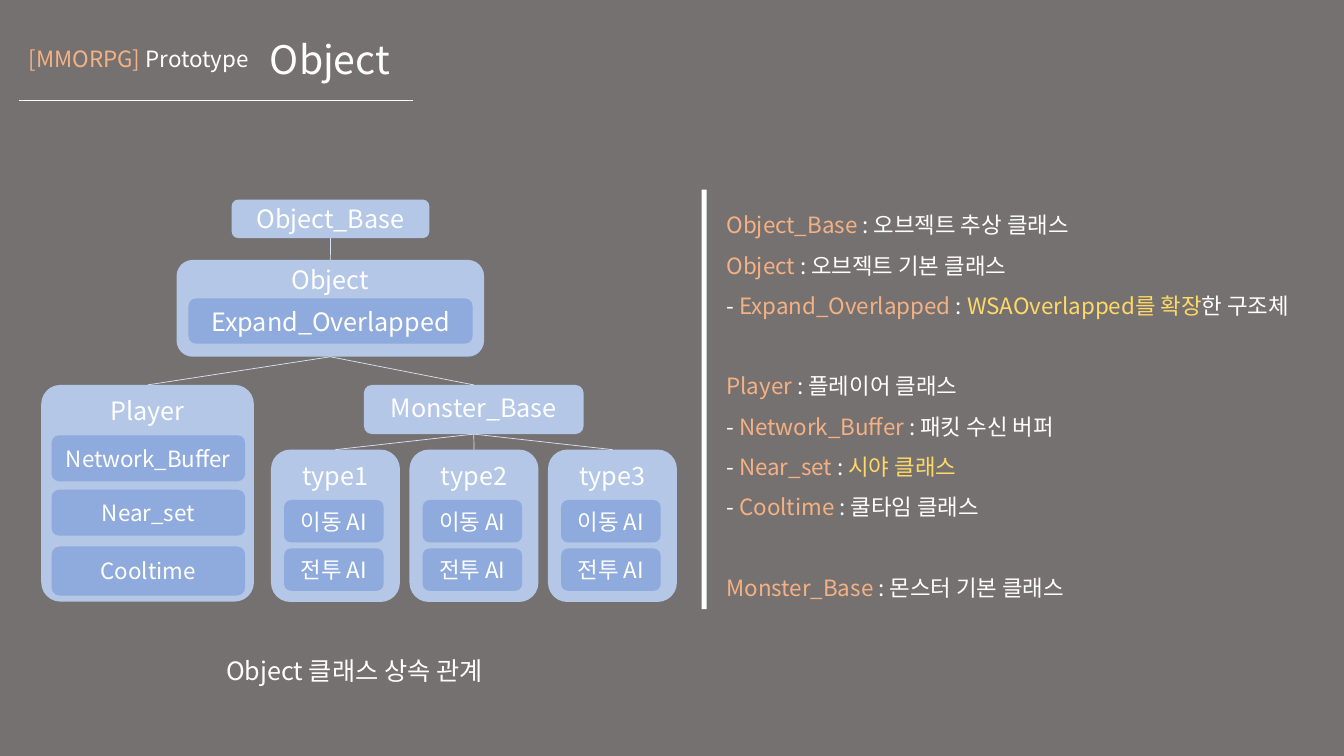
import pptx
import pptx.util
import pptx.dml.color
import pptx.enum.shapes
import pptx.enum.text
import pptx.oxml.ns
from lxml import etree

Cm, Pt = pptx.util.Cm, pptx.util.Pt
ANCHOR, ALIGN = pptx.enum.text.MSO_ANCHOR, pptx.enum.text.PP_ALIGN
FONT = "Noto Sans CJK KR"
COLORS = {
    "background": "767171", "white": "FFFFFF", "orange": "F4B183", "yellow": "FFD966",
    "class": "B4C7E7", "member": "8FAADC", "link": "DAE3F3",
}

TITLE = "Object"
LABEL = [("[MMORPG] ", "orange"), ("Prototype", "white")]
CAPTION = "Object 클래스 상속 관계"

# name: (left, top, width, height), corner ratio, anchor
CLASSES = {
    "Object_Base": ((5.84, 5.03, 4.98, 0.97), 0.167, ANCHOR.MIDDLE),
    "Object": ((4.45, 6.55, 7.75, 2.44), 0.167, ANCHOR.TOP),
    "Player": ((1.04, 9.7, 5.36, 5.46), 0.09, ANCHOR.TOP),
    "Monster_Base": ((9.17, 9.7, 5.54, 1.24), 0.167, ANCHOR.TOP),
}
TYPES = ["type1", "type2", "type3"]
TYPE_BOX, TYPE_STEP = (6.83, 11.33, 3.25, 3.84), 3.49
AI_BOX, AI_STEP = (7.16, 12.6, 2.51, 1.07), 1.22
AIS = ["이동 AI", "전투 AI"]

MEMBERS = [
    ("Expand_Overlapped", (4.75, 7.52, 7.16, 1.14), 18),
    ("Network_Buffer", (1.3, 10.97, 4.88, 1.16), 16),
    ("Near_set", (1.3, 12.34, 4.88, 1.16), 16),
    ("Cooltime", (1.3, 13.77, 4.88, 1.24), 16),
]
LINKS = [("Object_Base", "Object"), ("Object", "Player"), ("Object", "Monster_Base")]
LINKS += [("Monster_Base", name) for name in TYPES]

# Each group is set apart by one line
NOTES = [
    [
        [("Object_Base ", "orange"), (": 오브젝트 추상 클래스", "white")],
        [("Object ", "orange"), (": 오브젝트 기본 클래스", "white")],
        [("-", "white"), (" Expand_Overlapped ", "orange"), (": ", "white"),
         ("WSAOverlapped를 확장", "yellow"), ("한 구조체", "white")],
    ],
    [
        [("Player ", "orange"), (": 플레이어 클래스", "white")],
        [("- ", "white"), ("Network_Buffer", "orange"), (" : 패킷 수신 버퍼", "white")],
        [("- ", "white"), ("Near_set ", "orange"), (": ", "white"), ("시야 클래스", "yellow")],
        [("-", "white"), (" Cooltime ", "orange"), (": 쿨타임 클래스", "white")],
    ],
    [[("Monster_Base ", "orange"), (": 몬스터 기본 클래스", "white")]],
]
NOTE_GAP = 28.8


def rgb(name):
    return pptx.dml.color.RGBColor.from_string(COLORS[name])


def add_runs(p, runs, size):
    for text, color in runs:
        r = p.add_run()
        r.text = text
        r.font.size = Pt(size)
        r.font.name = FONT
        r.font.color.rgb = rgb(color)
        ea = etree.SubElement(r.font._element, pptx.oxml.ns.qn("a:ea"))
        ea.set("typeface", FONT)


def add_text(s, box):
    tf = s.shapes.add_textbox(*map(Cm, box)).text_frame
    tf.word_wrap = True
    tf.vertical_anchor = ANCHOR.MIDDLE
    return tf


def add_block(s, shape_type, box, color):
    sp = s.shapes.add_shape(shape_type, *map(Cm, box))
    sp.shadow.inherit = False
    sp.fill.solid()
    sp.fill.fore_color.rgb = rgb(color)
    sp.line.fill.background()
    return sp


def add_box(s, text, box, color, size, corner=0.167, anchor=ANCHOR.MIDDLE):
    sp = add_block(s, pptx.enum.shapes.MSO_SHAPE.ROUNDED_RECTANGLE, box, color)
    sp.adjustments[0] = corner
    tf = sp.text_frame
    tf.vertical_anchor = anchor
    tf.margin_left = tf.margin_right = 0
    p = tf.paragraphs[0]
    p.alignment = ALIGN.CENTER
    add_runs(p, [(text, "white")], size)
    return sp


def add_line(s, color, start=(0, 0), end=(0, 0)):
    c = s.shapes.add_connector(pptx.enum.shapes.MSO_CONNECTOR.STRAIGHT,
                               *map(Cm, start + end))
    c.line.color.rgb = rgb(color)
    c.line.width = Pt(0.5)
    etree.SubElement(c._element.spPr, pptx.oxml.ns.qn("a:effectLst"))
    return c


def add_header(s):
    tf = add_text(s, (0.48, 1.02, 7.57, 0.93))
    add_runs(tf.paragraphs[0], LABEL, 16)
    title = s.shapes.title
    title.left, title.top, title.width, title.height = map(Cm, (6.55, 0.43, 13.21, 2.26))
    title.text_frame.vertical_anchor = ANCHOR.MIDDLE
    p = title.text_frame.paragraphs[0]
    p.alignment = ALIGN.LEFT
    p.line_spacing = 0.9
    add_runs(p, [(TITLE, "white")], 28)
    add_line(s, "white", (0.48, 2.52), (10.41, 2.52))


def add_class_tree(s):
    boxes = {}
    for name, (box, corner, anchor) in CLASSES.items():
        boxes[name] = add_box(s, name, box, "class", 18, corner, anchor)
    boxes["Object"].text_frame.margin_top = 0
    for name, box, size in MEMBERS:
        add_box(s, name, box, "member", size)
    for i, name in enumerate(TYPES):
        left, *rest = TYPE_BOX
        boxes[name] = add_box(s, name, (left + i * TYPE_STEP, *rest), "class", 18,
                              0.15, ANCHOR.TOP)
        left, top, width, height = AI_BOX
        for j, ai in enumerate(AIS):
            box = (left + i * TYPE_STEP, top + j * AI_STEP, width, height)
            add_box(s, ai, box, "member", 16)
    for parent, child in LINKS:
        c = add_line(s, "link")
        c.begin_connect(boxes[parent], 2)
        c.end_connect(boxes[child], 0)
    p = add_text(s, (4.75, 16.18, 8.36, 1.45)).paragraphs[0]
    p.alignment = ALIGN.CENTER
    add_runs(p, [(CAPTION, "white")], 18)


def add_notes(s):
    add_block(s, pptx.enum.shapes.MSO_SHAPE.RECTANGLE, (17.68, 4.78, 0.13, 10.57), "white")
    tf = add_text(s, (18.06, 4.78, 15.16, 10.57))
    for g, group in enumerate(NOTES):
        for i, runs in enumerate(group):
            first = g == 0 and i == 0
            p = tf.paragraphs[0] if first else tf.add_paragraph()
            p.line_spacing = 1.5
            if g > 0 and i == 0:
                p.space_before = Pt(NOTE_GAP)
            add_runs(p, runs, 16)


def main():
    prs = pptx.Presentation()
    prs.slide_width, prs.slide_height = Cm(33.87), Cm(19.05)
    s = prs.slides.add_slide(prs.slide_layouts[5])
    s.background.fill.solid()
    s.background.fill.fore_color.rgb = rgb("background")
    add_header(s)
    add_class_tree(s)
    add_notes(s)
    prs.save("out.pptx")


if __name__ == "__main__":
    main()
